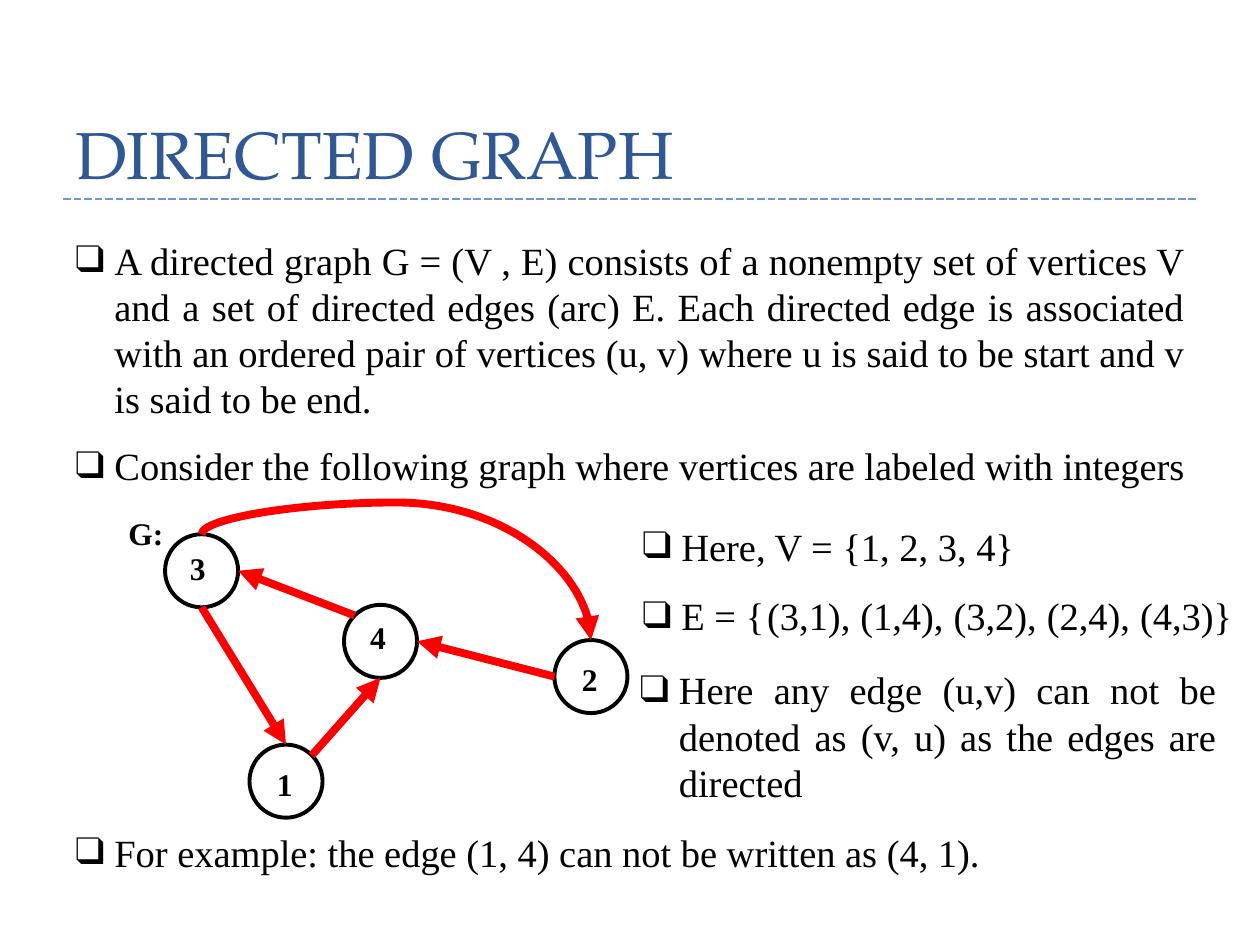
from math import cos, radians, sin

from lxml.etree import SubElement
from pptx import Presentation
from pptx.dml.color import RGBColor
from pptx.enum.dml import MSO_LINE
from pptx.enum.shapes import MSO_CONNECTOR as CONN, MSO_SHAPE as SHAPE
from pptx.enum.text import MSO_ANCHOR as ANCHOR, PP_ALIGN as ALIGN
from pptx.oxml.ns import qn
from pptx.util import Inches, Pt

BLACK = RGBColor(0x00, 0x00, 0x00)
RED = RGBColor(0xFF, 0x00, 0x00)
NAVY = RGBColor(0x2F, 0x58, 0x97)
RULE = RGBColor(0x70, 0x97, 0xD3)
SERIF = "Times New Roman"
DISPLAY = "TeX Gyre Pagella"

WIDTH, HEIGHT = Inches(10), Inches(7.5)
COLS, ROWS = 100, 75
NODE = 5.8
EAST, SOUTH, WEST, NORTH = 0, 90, 180, 270
NORTHEAST, NORTHWEST = 315, 225

NODES = {
    "3": (4.1, 2.4, 1, 0.7),
    "4": (18.3, 8, 1.1, 0.6),
    "1": (10.8, 19.1, 1.2, 1.1),
    "2": (35, 10.8, 1.2, 1.1),
}
EDGES = [
    ("3", SOUTH, "1", NORTH),
    ("1", NORTHEAST, "4", SOUTH),
    ("2", WEST, "4", EAST),
    ("4", NORTHWEST, "3", EAST),
]
STATEMENTS = [
    ((5, 18.3, 90, 15.8), ALIGN.JUSTIFY,
     "A directed graph G = (V , E) consists of a nonempty set of vertices V "
     "and a set of directed edges (arc) E. Each directed edge is associated "
     "with an ordered pair of vertices (u, v) where u is said to be start "
     "and v is said to be end."),
    ((5, 34.6, 91.9, 4.7), ALIGN.LEFT,
     "Consider the following graph where vertices are labeled with integers"),
    ((50, 41, 31.9, 4.7), ALIGN.LEFT, "Here, V = {1, 2, 3, 4}"),
    ((49.8, 52.4, 47.7, 12.1), ALIGN.JUSTIFY,
     "Here any edge (u,v) can not be denoted as (v, u) as the edges are directed"),
    ((5, 65.3, 74.7, 4.7), ALIGN.LEFT,
     "For example: the edge (1, 4) can not be written as (4, 1)."),
]
PAIRS = ["(3,1),", "(1,4),", "(3,2),", "(2,4),", "(4,3)}"]


def col(n):
    return round(WIDTH * n / COLS)


def row(n):
    return round(HEIGHT * n / ROWS)


def add_text(s, box, text, size, font=SERIF, color=BLACK, bold=False, wrap=False):
    x, y, w, h = box
    tf = s.shapes.add_textbox(col(x), row(y), col(w), row(h)).text_frame
    tf.word_wrap = wrap
    p = tf.paragraphs[0]
    r = p.add_run()
    r.text = text
    r.font.name, r.font.size, r.font.bold = font, Pt(size), bold
    r.font.color.rgb = color
    return tf


def add_bullet(s, box, align, text):
    p = add_text(s, box, text, 22, wrap=True).paragraphs[0]
    p.alignment = align
    pPr = p._p.get_or_add_pPr()
    pPr.set("marL", str(col(3.1)))
    pPr.set("indent", str(-col(3.1)))
    SubElement(pPr, qn("a:buFont")).set("typeface", SERIF)
    SubElement(pPr, qn("a:buChar")).set("char", "❑")


def add_line(s, kind, start, end, color, width):
    c = s.shapes.add_connector(
        kind, col(start[0]), row(start[1]), col(end[0]), row(end[1]))
    c.line.color.rgb = color
    c.line.width = Pt(width)
    SubElement(c._element.spPr, qn("a:effectLst"))
    return c


def add_arrow(s, kind, start, end):
    c = add_line(s, kind, start, end, RED, 4.5)
    SubElement(c.line._get_or_add_ln(), qn("a:tailEnd")).set("type", "triangle")
    return c


def add_arc(s, start, end):
    mid_x, mid_y = (start[0] + end[0]) / 2, (start[1] + end[1]) / 2
    half_w, half_h = (end[0] - start[0]) / 2, (end[1] - start[1]) / 2
    c = add_arrow(s, CONN.CURVE, (mid_x + half_h, mid_y - half_w),
                  (mid_x - half_h, mid_y + half_w))
    spPr = c._element.spPr
    spPr.find(qn("a:xfrm")).set("rot", "16200000")
    gd = SubElement(spPr.find(qn("a:prstGeom")).find(qn("a:avLst")), qn("a:gd"))
    gd.set("name", "adj1")
    gd.set("fmla", "val -30000")


def title(s, box):
    x, y, w, h = box
    tf = add_text(s, box, "DIRECTED GRAPH", 38, DISPLAY, NAVY, wrap=True)
    tf.vertical_anchor = ANCHOR.BOTTOM
    tf.paragraphs[0].line_spacing = Pt(58)
    rule = add_line(s, CONN.STRAIGHT, (x, y + h), (x + w, y + h), RULE, 1.5)
    rule.line.dash_style = MSO_LINE.SQUARE_DOT


def edge_set(s, box):
    x, y, w, h = box
    add_bullet(s, box, ALIGN.LEFT, "E = {")
    for i, pair in enumerate(PAIRS):
        add_text(s, (x + 9.9 + 7.4 * i, y, 9.8, h), pair, 22)


def graph(s, origin):
    left, top = origin

    def anchor(name, angle):
        x, y = NODES[name][:2]
        a, radius = radians(angle), NODE / 2
        return (left + x + radius * (1 + cos(a)), top + y + radius * (1 + sin(a)))

    for x, y, _, _ in NODES.values():
        node = s.shapes.add_shape(
            SHAPE.OVAL, col(left + x), row(top + y), col(NODE), row(NODE))
        node.shadow.inherit = False
        node.fill.background()
        node.line.color.rgb = BLACK
        node.line.width = Pt(2.25)
    add_text(s, (left + 0.2, top + 0.3, 4.8, 4), "G:", 18, bold=True)
    for name, (x, y, dx, dy) in NODES.items():
        add_text(s, (left + x + dx, top + y + dy, 3.3, 4), name, 18, bold=True)
    for tail, tail_angle, head, head_angle in EDGES:
        add_arrow(s, CONN.STRAIGHT, anchor(tail, tail_angle), anchor(head, head_angle))
    add_arc(s, anchor("3", NORTH), anchor("2", NORTH))


def main():
    prs = Presentation()
    prs.slide_width, prs.slide_height = WIDTH, HEIGHT
    s = prs.slides.add_slide(prs.slide_layouts[6])
    title(s, (5, -1.7, 90, 17.5))
    for box, align, text in STATEMENTS:
        add_bullet(s, box, align, text)
    edge_set(s, (50, 46.5, 49.5, 4.7))
    graph(s, (9, 40))
    prs.save("out.pptx")


if __name__ == "__main__":
    main()
